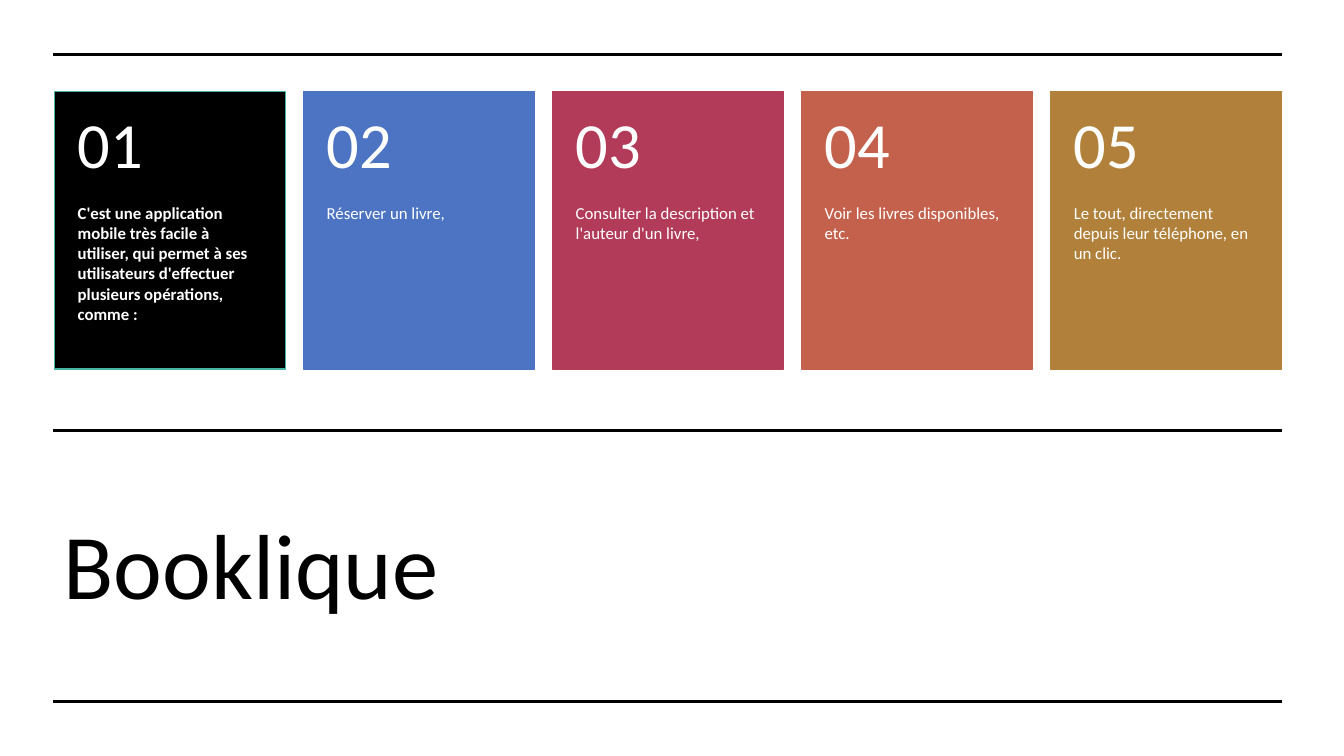
"""Build the Booklique slide: five numbered cards above a large title."""
from dataclasses import dataclass

from lxml import etree
from pptx import Presentation
from pptx.dml.color import RGBColor
from pptx.enum.shapes import MSO_CONNECTOR, MSO_SHAPE
from pptx.enum.text import MSO_ANCHOR, MSO_AUTO_SIZE, PP_ALIGN
from pptx.oxml.ns import qn
from pptx.util import Inches, Pt

RECTANGLE = MSO_SHAPE.RECTANGLE
STRAIGHT = MSO_CONNECTOR.STRAIGHT
TOP, MIDDLE = MSO_ANCHOR.TOP, MSO_ANCHOR.MIDDLE
LEFT = PP_ALIGN.LEFT
NO_AUTOFIT = MSO_AUTO_SIZE.NONE


@dataclass(frozen=True)
class Theme:
    """Colours, font and type sizes of the slide."""
    font: str = "Calibri"
    black: str = "000000"
    white: str = "FFFFFF"
    teal: str = "46B4A2"
    blue: str = "4D74C3"
    crimson: str = "B13B58"
    coral: str = "C3614D"
    ochre: str = "B1813B"
    title_size: int = 66
    number_size: int = 46
    body_size: int = 12
    rule_width: float = 2.25
    outline_width: float = 1


THEME = Theme()
MARGIN_LEFT, MARGIN_RIGHT = 0.53, 12.72
RULE_TOPS = (0.54, 4.27, 6.96)
CARD_LEFT, CARD_TOP, CARD_PITCH = 0.54, 0.91, 2.47
CARD_WIDTH, CARD_HEIGHT, NUMBER_HEIGHT = 2.29, 2.75, 1.1
CARDS = (
    ("C'est une application mobile très facile à utiliser, qui permet à ses "
     "utilisateurs d'effectuer plusieurs opérations, comme :",
     THEME.black, THEME.teal, True),
    ("Réserver un livre,", THEME.blue, THEME.blue, False),
    ("Consulter la description et l'auteur d'un livre,",
     THEME.crimson, THEME.crimson, False),
    ("Voir les livres disponibles, etc.", THEME.coral, THEME.coral, False),
    ("Le tout, directement depuis leur téléphone, en un clic.",
     THEME.ochre, THEME.ochre, False),
)


class SlideBuilder:
    """Draws the elements of one slide in a given theme."""

    def __init__(self, slide, theme):
        """Keep the slide and theme, and paint the background."""
        self.slide = slide
        self.theme = theme
        fill = slide.background.fill
        fill.solid()
        fill.fore_color.rgb = RGBColor.from_string(theme.white)

    def set_text(self, shape, text, size, color, anchor, bold=False):
        """Put one left-aligned paragraph in a shape."""
        frame = shape.text_frame
        frame.text = text
        frame.word_wrap = True
        frame.auto_size = NO_AUTOFIT
        frame.vertical_anchor = anchor
        paragraph = frame.paragraphs[0]
        paragraph.alignment = LEFT
        font = paragraph.runs[0].font
        font.name = self.theme.font
        font.size = Pt(size)
        font.bold = bold
        font.color.rgb = RGBColor.from_string(color)
        return paragraph

    def title(self, text, left, top, width, height):
        """Place and format the title placeholder."""
        shape = self.slide.shapes.title
        shape.left, shape.top = Inches(left), Inches(top)
        shape.width, shape.height = Inches(width), Inches(height)
        self.set_text(shape, text, self.theme.title_size, self.theme.black, MIDDLE)

    def rule(self, top):
        """Draw a horizontal line between the margins."""
        line = self.slide.shapes.add_connector(
            STRAIGHT, Inches(MARGIN_LEFT), Inches(top),
            Inches(MARGIN_RIGHT), Inches(top))
        line.line.color.rgb = RGBColor.from_string(self.theme.black)
        line.line.width = Pt(self.theme.rule_width)
        etree.SubElement(line._element.spPr, qn("a:effectLst"))

    def panel(self, shapes, left, fill, outline):
        """Draw the coloured rectangle of a card."""
        shape = shapes.add_shape(
            RECTANGLE, Inches(left), Inches(CARD_TOP),
            Inches(CARD_WIDTH), Inches(CARD_HEIGHT))
        shape.shadow.inherit = False
        shape.fill.solid()
        shape.fill.fore_color.rgb = RGBColor.from_string(fill)
        shape.line.color.rgb = RGBColor.from_string(outline)
        shape.line.width = Pt(self.theme.outline_width)

    def card_text(self, shapes, text, left, top, height, insets, size, anchor,
                  bold=False):
        """Add white text across a card and return its paragraph."""
        box = shapes.add_textbox(
            Inches(left), Inches(top), Inches(CARD_WIDTH), Inches(height))
        frame = box.text_frame
        frame.margin_left = frame.margin_right = Inches(0.23)
        frame.margin_top, frame.margin_bottom = map(Inches, insets)
        return self.set_text(box, text, size, self.theme.white, anchor, bold)

    def card(self, shapes, index, text, fill, outline, bold):
        """Draw a numbered card at its place in the row."""
        left = CARD_LEFT + index * CARD_PITCH
        self.panel(shapes, left, fill, outline)
        self.card_text(
            shapes, text, left, CARD_TOP + NUMBER_HEIGHT,
            CARD_HEIGHT - NUMBER_HEIGHT, (0, 0.36),
            self.theme.body_size, TOP, bold)
        number = self.card_text(
            shapes, f"{index + 1:02d}", left, CARD_TOP, NUMBER_HEIGHT,
            (0.18, 0.18), self.theme.number_size, MIDDLE)
        number.line_spacing = 0.9


def main():
    """Create the presentation and save it."""
    presentation = Presentation()
    presentation.slide_width = Inches(13.33)
    presentation.slide_height = Inches(7.5)
    slide = presentation.slides.add_slide(presentation.slide_layouts[5])
    builder = SlideBuilder(slide, THEME)
    builder.title("Booklique", MARGIN_LEFT, 4.43, 9.2, 2.31)
    for top in RULE_TOPS:
        builder.rule(top)
    card_group = slide.shapes.add_group_shape()
    for index, card in enumerate(CARDS):
        builder.card(card_group.shapes, index, *card)
    presentation.save("out.pptx")


if __name__ == "__main__":
    main()
